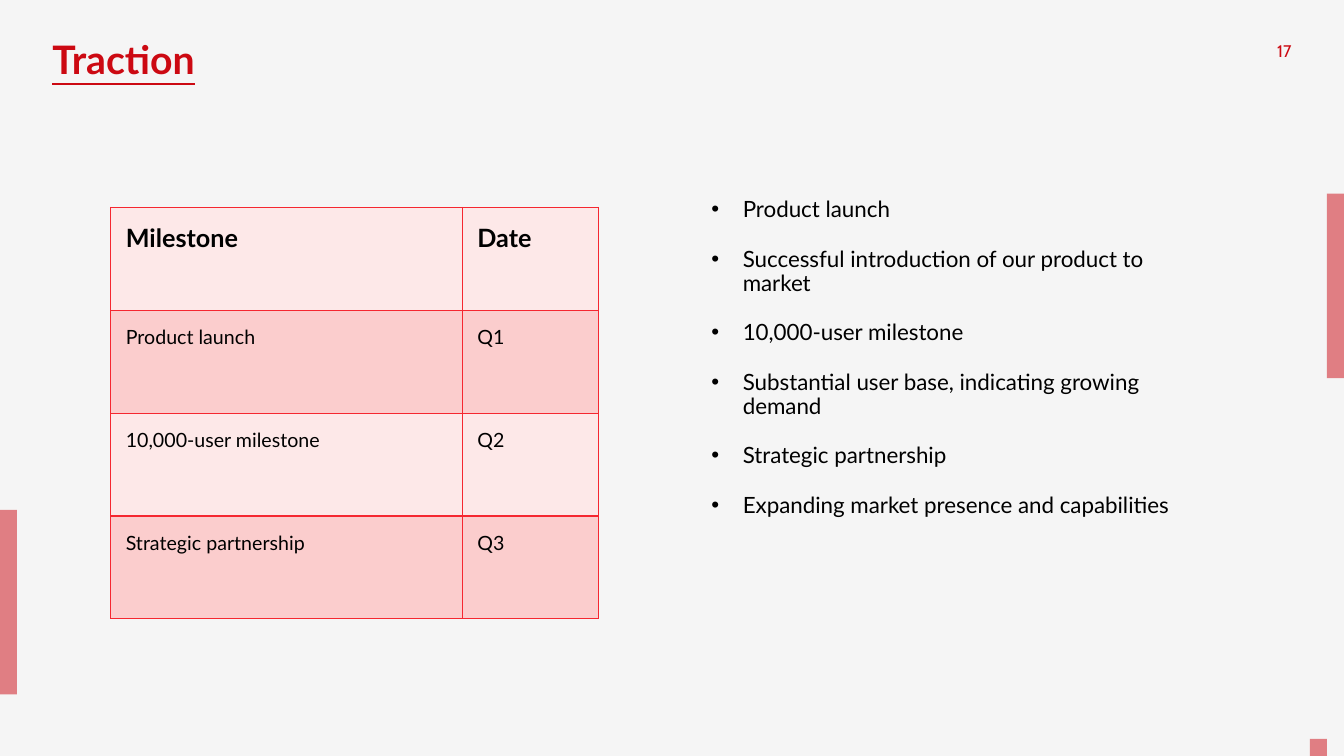
from dataclasses import dataclass

from lxml.etree import SubElement
from pptx import Presentation
from pptx.dml.color import RGBColor
from pptx.enum.shapes import MSO_SHAPE
from pptx.enum.text import PP_ALIGN
from pptx.oxml import parse_xml
from pptx.oxml.ns import nsdecls, qn
from pptx.util import Cm, Pt


@dataclass(frozen=True)
class Theme:
    background: str = "F5F5F5"
    accent: str = "CC0912"
    ink: str = "000000"
    border: str = "F52730"
    bands: tuple = ("FDE8E8", "FBCDCD")
    body_font: str = "Lato"
    number_font: str = "Cabin"
    title_size: int = 28
    header_size: int = 18
    bullet_size: int = 16
    cell_size: int = 14
    number_size: int = 12
    bar_opacity: int = 50


def apply(target, values):
    for name, value in values.items():
        setattr(target, name, value)


class SlideBuilder:
    def __init__(self, slide, theme):
        self.slide = slide
        self.theme = theme
        slide.background.fill.solid()
        slide.background.fill.fore_color.rgb = RGBColor.from_string(theme.background)

    def add_text(self, paragraph, text, size, color, font=None, **style):
        run = paragraph.add_run()
        run.text = text
        apply(run.font, {"name": font or self.theme.body_font, "size": Pt(size), **style})
        run.font.color.rgb = RGBColor.from_string(color)

    def text_frame(self, left, top, width, height):
        box = self.slide.shapes.add_textbox(Cm(left), Cm(top), Cm(width), Cm(height))
        box.text_frame.word_wrap = True
        return box.text_frame

    def bar(self, left, top, width, height):
        bar = self.slide.shapes.add_shape(
            MSO_SHAPE.RECTANGLE, Cm(left), Cm(top), Cm(width), Cm(height))
        bar.shadow.inherit = False
        bar.line.fill.background()
        bar.fill.solid()
        bar.fill.fore_color.rgb = RGBColor.from_string(self.theme.accent)
        color = bar._element.spPr.find(f".//{qn('a:srgbClr')}")
        SubElement(color, qn("a:alpha"), val=str(self.theme.bar_opacity * 1000))

    def title(self, text, *area):
        paragraph = self.text_frame(*area).paragraphs[0]
        paragraph.line_spacing = 0.9
        self.add_text(paragraph, text, self.theme.title_size, self.theme.accent,
                      bold=True, underline=True)

    def page_number(self, text, *area):
        frame = self.text_frame(*area)
        frame.margin_bottom = 0
        frame.paragraphs[0].alignment = PP_ALIGN.RIGHT
        self.add_text(frame.paragraphs[0], text, self.theme.number_size,
                      self.theme.accent, self.theme.number_font)

    def bullets(self, points, *area):
        frame = self.text_frame(*area)
        indent = Cm(0.79)
        for index, point in enumerate(points):
            paragraph = frame.add_paragraph() if index else frame.paragraphs[0]
            apply(paragraph, {"line_spacing": 0.9, "space_after": Pt(18)})
            properties = paragraph._p.get_or_add_pPr()
            properties.set("marL", str(indent))
            properties.set("indent", str(-indent))
            SubElement(properties, qn("a:buFont"), typeface="Arial")
            SubElement(properties, qn("a:buChar"), char="•")
            self.add_text(paragraph, point, self.theme.bullet_size, self.theme.ink)

    def cell_borders(self, cell):
        properties = cell._tc.get_or_add_tcPr()
        for index, side in enumerate("LRTB"):
            properties.insert(index, parse_xml(
                f'<a:ln{side} {nsdecls("a")} w="{Pt(1)}"><a:solidFill>'
                f'<a:srgbClr val="{self.theme.border}"/></a:solidFill></a:ln{side}>'))

    def table(self, rows, left, top, widths, row_height):
        table = self.slide.shapes.add_table(
            len(rows), len(widths), Cm(left), Cm(top),
            Cm(sum(widths)), Cm(row_height * len(rows))).table
        apply(table, {"first_row": False, "horz_banding": False})
        for column, width in zip(table.columns, widths):
            column.width = Cm(width)
        margins = {f"margin_{side}": Cm(0.38) for side in ("left", "right", "top", "bottom")}
        for row_index, texts in enumerate(rows):
            is_header = row_index == 0
            size = self.theme.header_size if is_header else self.theme.cell_size
            for column_index, text in enumerate(texts):
                cell = table.cell(row_index, column_index)
                apply(cell, margins)
                cell.fill.solid()
                cell.fill.fore_color.rgb = RGBColor.from_string(self.theme.bands[row_index % 2])
                self.cell_borders(cell)
                self.add_text(cell.text_frame.paragraphs[0], text, size, self.theme.ink,
                              bold=is_header)


MILESTONES = [
    ("Milestone", "Date"),
    ("Product launch", "Q1"),
    ("10,000-user milestone", "Q2"),
    ("Strategic partnership", "Q3"),
]
HIGHLIGHTS = [
    "Product launch",
    "Successful introduction of our product to market",
    "10,000-user milestone",
    "Substantial user base, indicating growing demand",
    "Strategic partnership",
    "Expanding market presence and capabilities",
]


def main():
    deck = Presentation()
    apply(deck, {"slide_width": Cm(33.87), "slide_height": Cm(19.05)})
    traction = SlideBuilder(deck.slides.add_slide(deck.slide_layouts[6]), Theme())

    # Edge bars
    bar_width, bar_height = 0.43, 4.65
    traction.bar(33.44, 4.88, bar_width, bar_height)
    traction.bar(0, 12.85, bar_width, bar_height)
    traction.bar(33.01, 18.62, bar_width, bar_width)

    # Heading and page number
    traction.title("Traction", 1.07, 0.89, 13.92, 3.1)
    traction.page_number("17", 31.5, 0.89, 1.3, 1.02)

    # Milestone table and highlights
    traction.table(MILESTONES, 2.79, 5.23, (8.86, 3.43), 2.59)
    traction.bullets(HIGHLIGHTS, 17.68, 4.88, 13.11, 13.34)

    deck.save("out.pptx")


if __name__ == "__main__":
    main()
